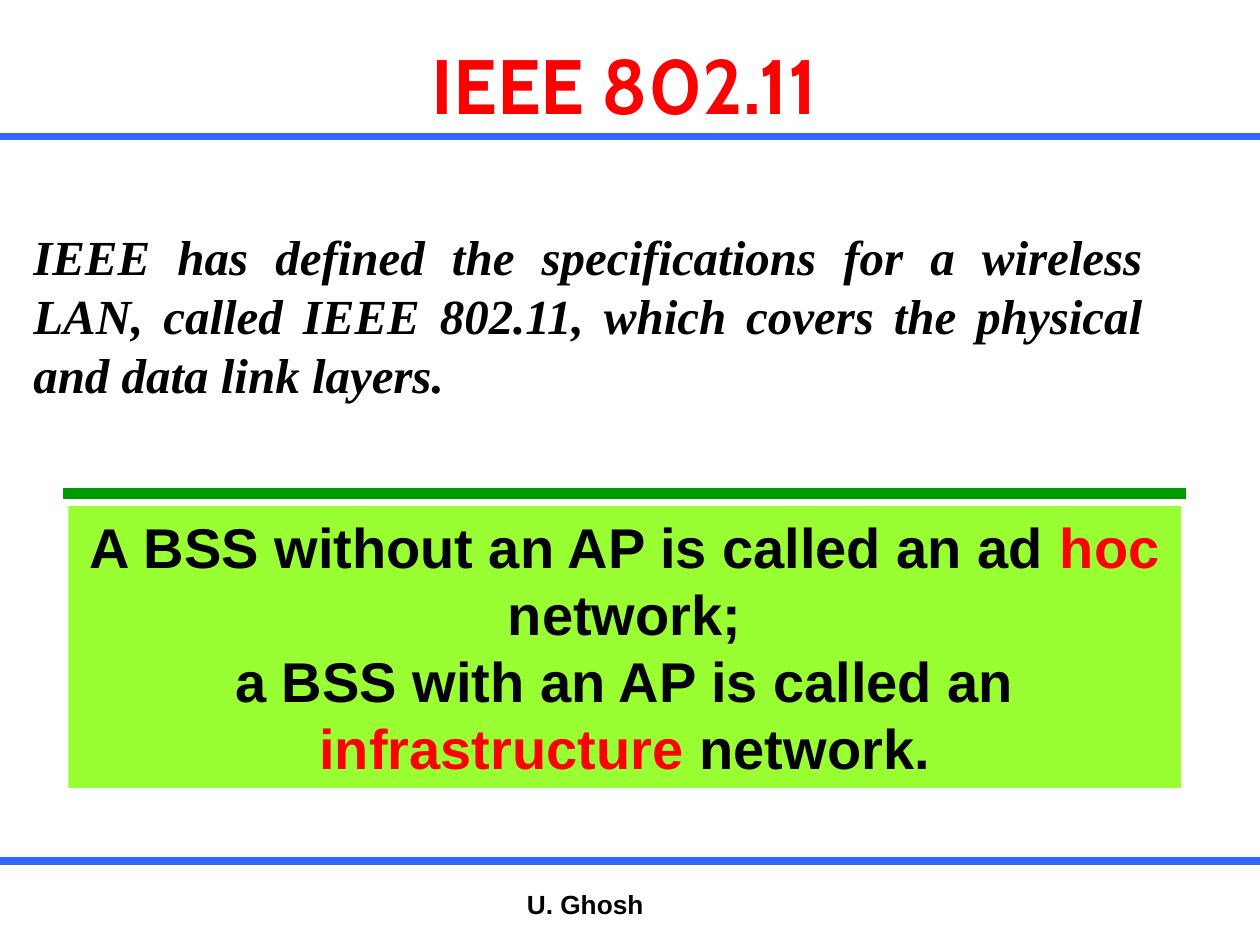
from dataclasses import dataclass

from lxml import etree
from pptx import Presentation
from pptx.dml.color import RGBColor
from pptx.enum.shapes import MSO_CONNECTOR, MSO_SHAPE
from pptx.enum.text import MSO_ANCHOR, PP_ALIGN
from pptx.oxml.ns import qn
from pptx.util import Pt

LEFT, MID, BOTH = PP_ALIGN.LEFT, PP_ALIGN.CENTER, PP_ALIGN.JUSTIFY
TOP, HALF = MSO_ANCHOR.TOP, MSO_ANCHOR.MIDDLE
LINE, RECT = MSO_CONNECTOR.STRAIGHT, MSO_SHAPE.RECTANGLE
WIDE, HIGH = 720, 540


@dataclass(frozen=True)
class Theme:
    red: str = "FF0000"
    black: str = "000000"
    blue: str = "3366FF"
    green: str = "009900"
    lime: str = "99FF33"
    title: int = 44
    body: int = 28
    note: int = 32
    foot: int = 15


class Deck:
    def __init__(self, theme):
        self.theme = theme
        self.file = Presentation()
        self.file.slide_width, self.file.slide_height = Pt(WIDE), Pt(HIGH)
        self.slide = self.file.slides.add_slide(self.file.slide_layouts[6])

    def fill_text(self, shape, lines, style, align=LEFT, anchor=TOP, wrap=True):
        frame = shape.text_frame
        frame.word_wrap, frame.vertical_anchor = wrap, anchor
        for num, line in enumerate(lines):
            para = frame.add_paragraph() if num else frame.paragraphs[0]
            para.alignment = align
            for text, color in line:
                run = para.add_run()
                run.text = text
                for name, value in style.items():
                    setattr(run.font, name, value)
                run.font.color.rgb = RGBColor.from_string(color)

    def text(self, area, lines, style, **form):
        box = self.slide.shapes.add_textbox(*map(Pt, area))
        self.fill_text(box, lines, style, **form)

    def panel(self, area, fill, lines, style, **form):
        box = self.slide.shapes.add_shape(RECT, *map(Pt, area))
        box.shadow.inherit = False
        box.fill.solid()
        box.fill.fore_color.rgb = RGBColor.from_string(fill)
        box.line.fill.background()
        self.fill_text(box, lines, style, **form)

    def rule(self, left, right, y, color, width):
        line = self.slide.shapes.add_connector(
            LINE, Pt(left), Pt(y), Pt(right), Pt(y))
        line.line.color.rgb = RGBColor.from_string(color)
        line.line.width = Pt(width)
        etree.SubElement(line._element.spPr, qn("a:effectLst"))


def main():
    theme = Theme()
    deck = Deck(theme)
    red, black = theme.red, theme.black

    def style(name, size, **more):
        return {"name": name, "size": Pt(size), "bold": True, **more}

    deck.text((229, 18, 255.5, 60.5), [[("IEEE 802.11", red)]],
              style("Cabin", theme.title), align=MID, wrap=False)
    deck.text((12, 126, 648, 108), [[(
        "IEEE has defined the specifications for a wireless LAN, called "
        "IEEE 802.11, which covers the physical and data link layers.",
        black)]],
        style("Times New Roman", theme.body, italic=True),
        align=BOTH, anchor=HALF)

    for y in (78, 492):
        deck.rule(0, WIDE, y, theme.blue, 4.5)
    deck.rule(36, 678, 282, theme.green, 6)

    deck.panel((39, 289.25, 636, 161), theme.lime, [
        [("A BSS without an AP is called an ad", black),
         (" hoc", red), (" network;", black)],
        [("a BSS with an AP is called an", black),
         (" infrastructure", red), (" network.", black)],
    ], style("Arial", theme.note), align=MID)
    deck.text((294, 504, 174, 25), [[("U. Ghosh", black)]],
              style("Arial", theme.foot))
    deck.file.save("out.pptx")


if __name__ == "__main__":
    main()
